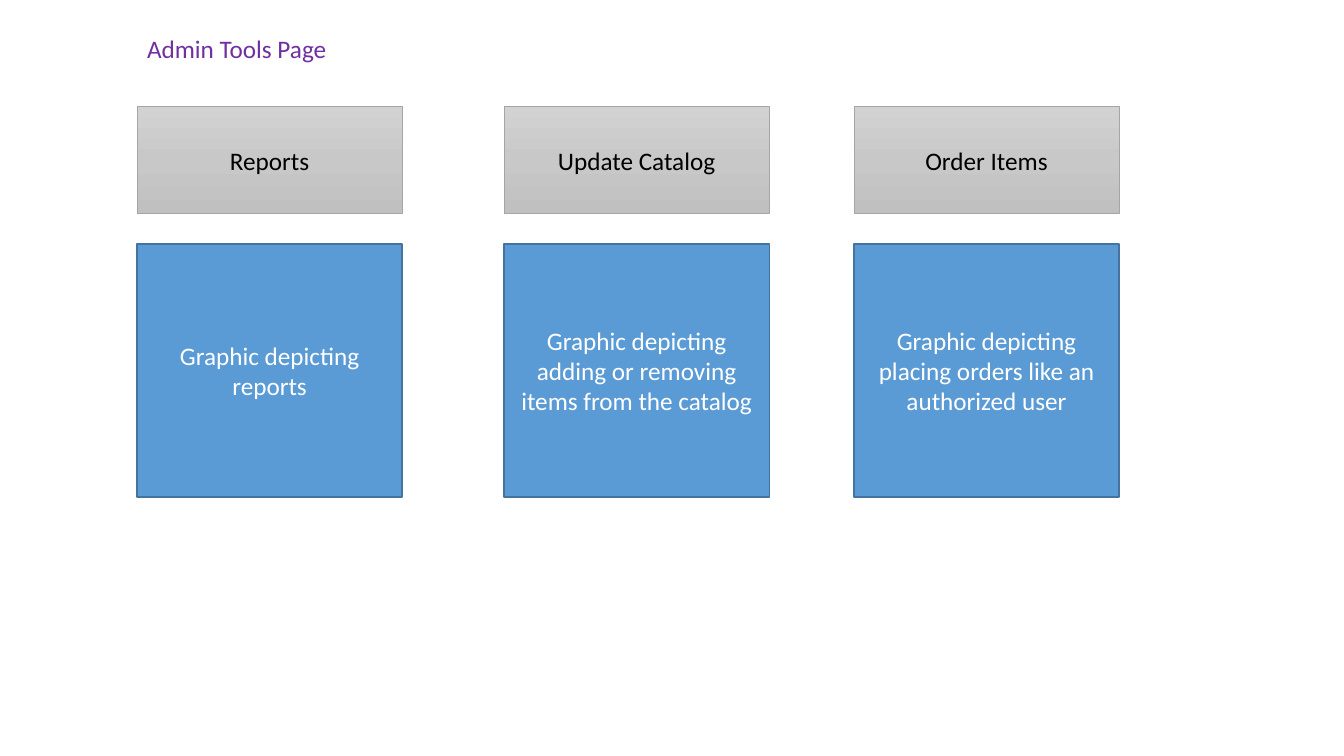
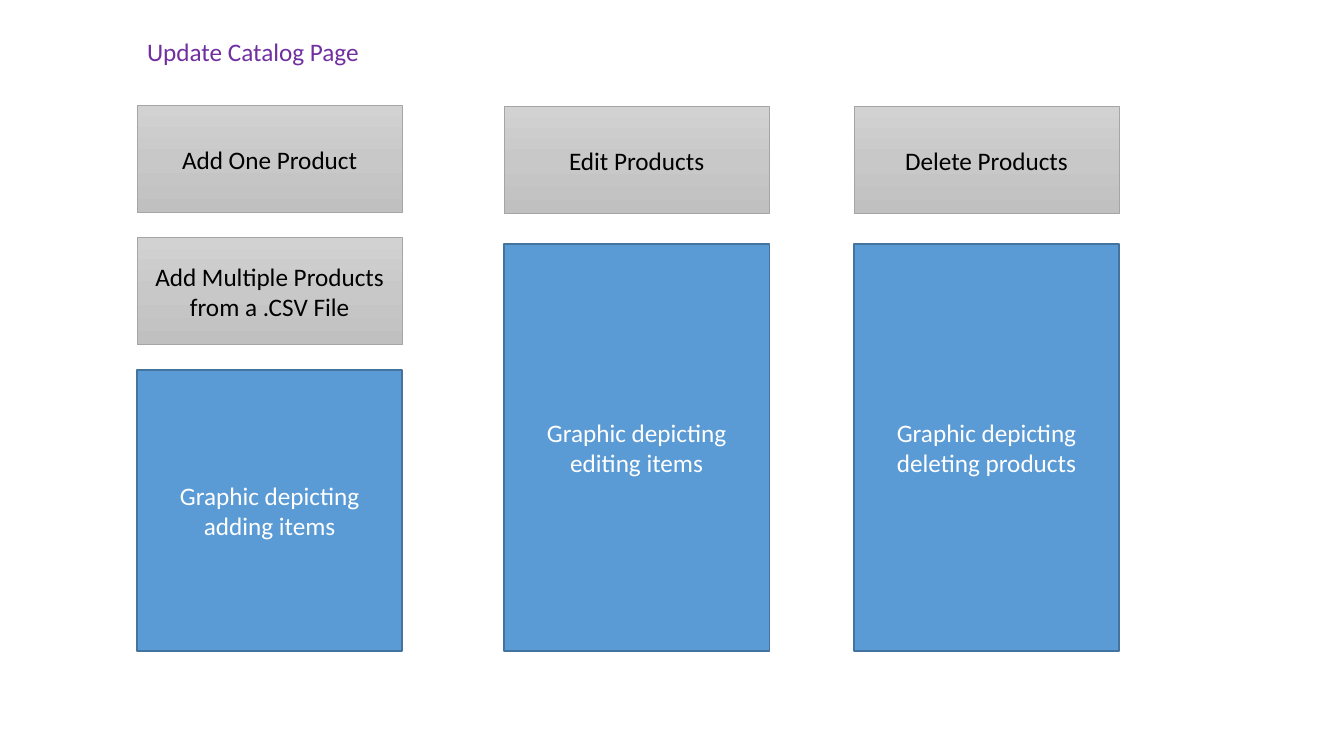
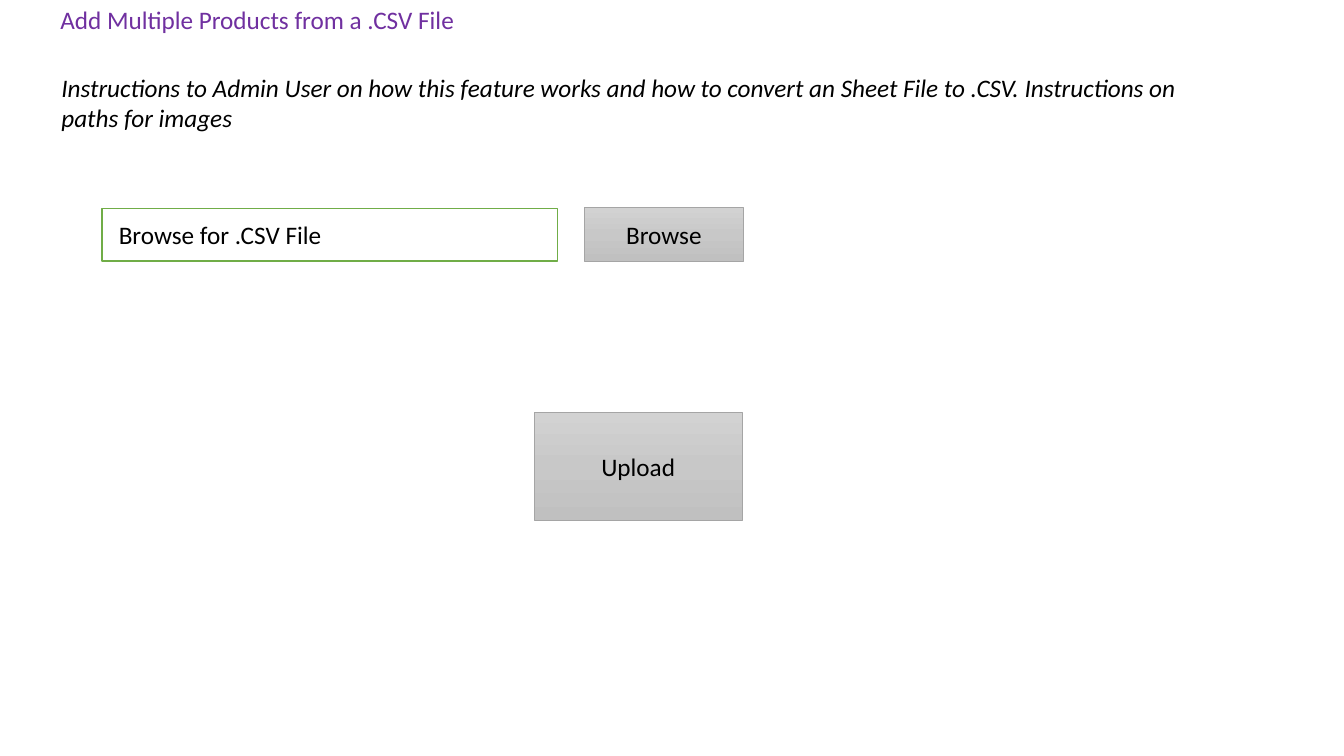
import copy
from dataclasses import dataclass

import pptx
import pptx.dml.color
import pptx.enum.shapes
import pptx.enum.text
import pptx.oxml.ns
import pptx.slide
import pptx.util
from pptx.util import Inches

RGBColor = pptx.dml.color.RGBColor

# Shared look
FONT = "Calibri"
TEXT_SIZE = pptx.util.Pt(18)
BLACK = RGBColor(0x00, 0x00, 0x00)
WHITE = RGBColor(0xFF, 0xFF, 0xFF)
PURPLE = RGBColor(0x70, 0x30, 0xA0)
BLUE = RGBColor(0x5B, 0x9B, 0xD5)
BLUE_EDGE = RGBColor(0x43, 0x73, 0x9E)
GREEN = RGBColor(0x70, 0xAD, 0x47)
GRAY_EDGE = RGBColor(0xA5, 0xA5, 0xA5)
GRAY_STOPS = (
    (0, RGBColor(0xD2, 0xD2, 0xD2)),
    (0.5, RGBColor(0xC8, 0xC8, 0xC8)),
    (1, RGBColor(0xC0, 0xC0, 0xC0)),
)

# Shared column grid
COLUMNS = (1.36, 5, 8.47)
COLUMN_WIDTH = 2.63
BUTTON_TOP = 1.06
BUTTON_HEIGHT = 1.06
GRAPHIC_TOP = 2.42


@dataclass(frozen=True)
class Area:
    left: float
    top: float
    width: float
    height: float

    def lengths(self) -> tuple:
        return tuple(map(Inches, (self.left, self.top, self.width, self.height)))


@dataclass(frozen=True)
class Item:
    text: str
    area: Area


def column_item(text: str, column: int, top: float, height: float) -> Item:
    return Item(text, Area(COLUMNS[column], top, COLUMN_WIDTH, height))


def write(box, text: str, color: RGBColor, italic: bool = False):
    box.text_frame.word_wrap = True
    para = box.text_frame.paragraphs[0]
    para.text = text
    para.font.name = FONT
    para.font.size = TEXT_SIZE
    para.font.color.rgb = color
    para.font.italic = italic
    return para


def add_label(page: pptx.slide.Slide, item: Item, color: RGBColor = BLACK,
              italic: bool = False) -> None:
    box = page.shapes.add_textbox(*item.area.lengths())
    write(box, item.text, color, italic)
    box.text_frame.auto_size = pptx.enum.text.MSO_AUTO_SIZE.SHAPE_TO_FIT_TEXT


def add_box(page: pptx.slide.Slide, area: Area, edge: RGBColor, weight: float):
    box = page.shapes.add_shape(
        pptx.enum.shapes.MSO_SHAPE.RECTANGLE, *area.lengths())
    box.shadow.inherit = False
    box.line.color.rgb = edge
    box.line.width = pptx.util.Pt(weight)
    return box


def write_centered(box, text: str, color: RGBColor) -> None:
    para = write(box, text, color)
    para.alignment = pptx.enum.text.PP_ALIGN.CENTER
    box.text_frame.vertical_anchor = pptx.enum.text.MSO_ANCHOR.MIDDLE


def add_button(page: pptx.slide.Slide, item: Item) -> None:
    box = add_box(page, item.area, GRAY_EDGE, 0.5)
    box.fill.gradient()
    box.fill.gradient_angle = 270
    # The preset gradient has two stops; a third is needed
    stops = box.element.spPr.find(".//" + pptx.oxml.ns.qn("a:gsLst"))
    stops.append(copy.deepcopy(stops[-1]))
    for stop, (position, color) in zip(box.fill.gradient_stops, GRAY_STOPS):
        stop.position = position
        stop.color.rgb = color
    write_centered(box, item.text, BLACK)


def add_graphic(page: pptx.slide.Slide, item: Item) -> None:
    box = add_box(page, item.area, BLUE_EDGE, 1)
    box.fill.solid()
    box.fill.fore_color.rgb = BLUE
    write_centered(box, item.text, WHITE)


def add_page(deck, title: Item, buttons: list[Item],
             graphics: list[Item]) -> pptx.slide.Slide:
    page = deck.slides.add_slide(deck.slide_layouts[6])
    add_label(page, title, PURPLE)
    for button in buttons:
        add_button(page, button)
    for graphic in graphics:
        add_graphic(page, graphic)
    return page


def button_row(*texts: str, first: int = 0) -> list[Item]:
    return [column_item(text, column, BUTTON_TOP, BUTTON_HEIGHT)
            for column, text in enumerate(texts, first)]


def graphic_row(height: float, *texts: str, first: int = 0) -> list[Item]:
    return [column_item(text, column, GRAPHIC_TOP, height)
            for column, text in enumerate(texts, first)]


def main() -> None:
    deck = pptx.Presentation()
    deck.slide_width = Inches(13.33)
    deck.slide_height = Inches(7.5)

    # Admin tools
    add_page(
        deck,
        Item("Admin Tools Page", Area(COLUMNS[0], 0.28, 3.42, 0.4)),
        button_row("Reports", "Update Catalog", "Order Items"),
        graphic_row(
            2.51,
            "Graphic depicting reports",
            "Graphic depicting adding or removing items from the catalog",
            "Graphic depicting placing orders like an authorized user",
        ),
    )

    # Catalog update
    csv_title = "Add Multiple Products from a .CSV File"
    add_page(
        deck,
        Item("Update Catalog Page", Area(COLUMNS[0], 0.31, 3.42, 0.4)),
        [
            column_item("Add One Product", 0, 1.05, BUTTON_HEIGHT),
            column_item(csv_title, 0, 2.36, BUTTON_HEIGHT),
            *button_row("Edit Products", "Delete Products", first=1),
        ],
        [
            column_item("Graphic depicting adding items", 0, 3.67, 2.79),
            *graphic_row(
                4.04,
                "Graphic depicting editing items",
                "Graphic depicting deleting products",
                first=1,
            ),
        ],
    )

    # File upload
    upload_page = add_page(
        deck,
        Item(csv_title, Area(0.5, -0.01, 7.02, 0.4)),
        [
            Item("Browse", Area(5.8, 2.06, 1.57, 0.53)),
            Item("Upload", Area(5.3, 4.09, 2.06, 1.07)),
        ],
        [],
    )
    instructions = (
        "Instructions to Admin User on how this feature works and how to "
        "convert an Sheet File to .CSV. Instructions on paths for images"
    )
    add_label(upload_page, Item(instructions, Area(0.51, 0.67, 11.65, 0.71)),
              italic=True)
    field = add_box(upload_page, Area(1.01, 2.07, 4.52, 0.52), GREEN, 1)
    field.fill.solid()
    field.fill.fore_color.rgb = WHITE
    add_label(upload_page,
              Item("Browse for .CSV File", Area(1.08, 2.13, 2.75, 0.4)))

    deck.save("out.pptx")


if __name__ == "__main__":
    main()
